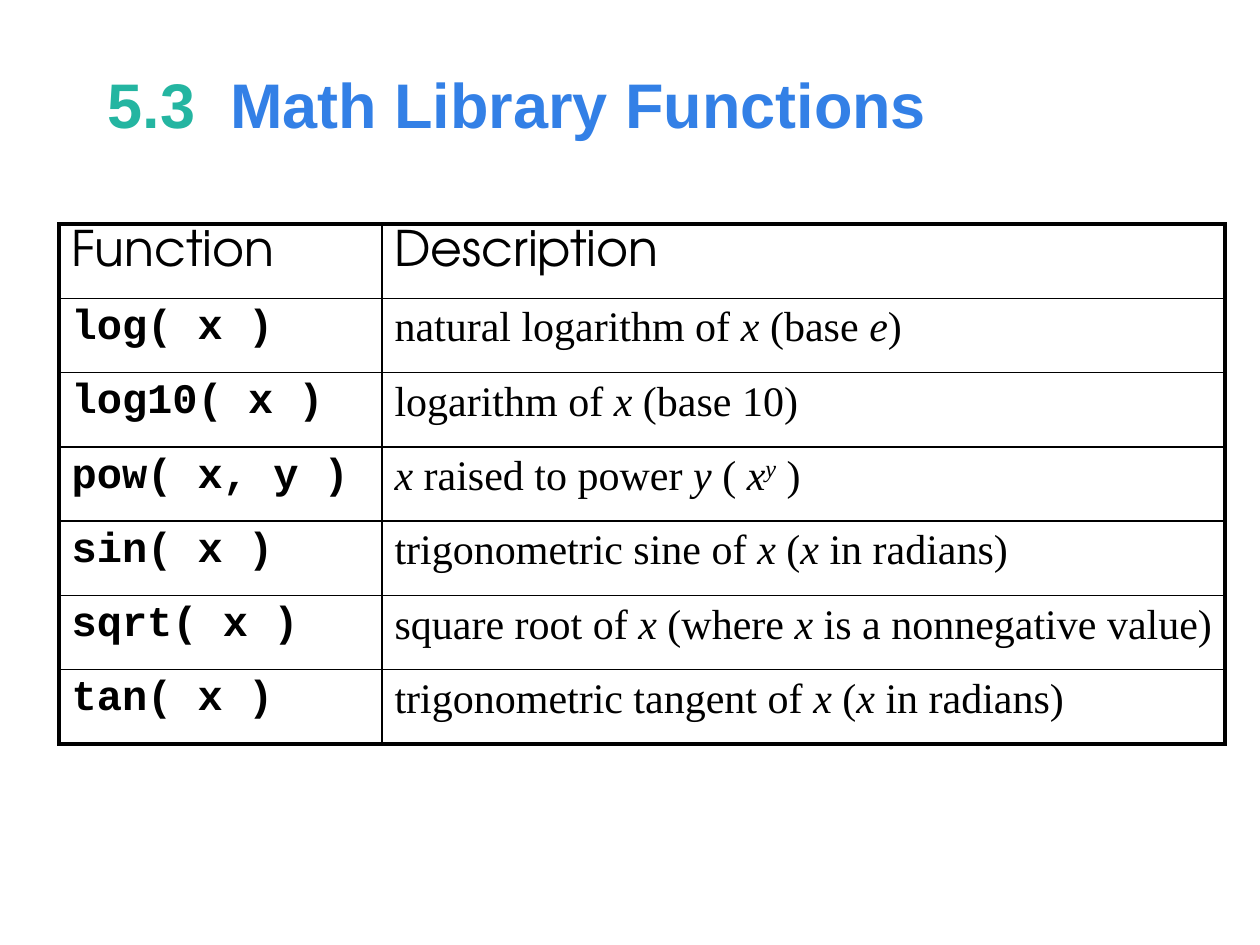
from lxml import etree
from pptx import Presentation
from pptx.dml.color import RGBColor
from pptx.enum.text import MSO_ANCHOR, PP_ALIGN
from pptx.oxml.ns import qn
from pptx.util import Emu, Pt

PX = 914400 / 126
LEFT, MIDDLE = PP_ALIGN.LEFT, MSO_ANCHOR.MIDDLE
BLACK = RGBColor(0x00, 0x00, 0x00)
TEAL = RGBColor(0x24, 0xB5, 0xA1)
BLUE = RGBColor(0x33, 0x80, 0xE6)
HEAD, CODE, BODY = "TeX Gyre Adventor", "Courier New", "Times New Roman"
THIN, THICK = Pt(1), Pt(2.25)

ROWS = [
    ("Function", "Description"),
    ("log( x )", "natural logarithm of *x* (base *e*)"),
    ("log10( x )", "logarithm of *x* (base 10)"),
    ("pow( x, y )", "*x* raised to power *y* ( *x^y* )"),
    ("sin( x )", "trigonometric sine of *x* (*x* in radians)"),
    ("sqrt( x )", "square root of *x* (where *x* is a nonnegative value)"),
    ("tan( x )", "trigonometric tangent of *x* (*x* in radians)"),
]


def px(n):
    return Emu(round(n * PX))


class Deck:
    def __init__(self):
        self.file = Presentation()
        self.file.slide_width, self.file.slide_height = px(1260), px(945)
        self.slide = self.file.slides.add_slide(self.file.slide_layouts[5])

    def font(self, para, name, size, bold=False, color=None):
        para.font.name, para.font.size, para.font.bold = name, Pt(size), bold
        if color is not None:
            para.font.color.rgb = color

    def title(self, parts, x, y, w, h):
        box = self.slide.shapes.title
        box.left, box.top, box.width, box.height = map(px, (x, y, w, h))
        box.text_frame.vertical_anchor = MIDDLE
        para = box.text_frame.paragraphs[0]
        para.alignment = LEFT
        self.font(para, "Arial", 36, True)
        for text, color in parts:
            run = para.add_run()
            run.text = text
            run.font.color.rgb = color

    def rich(self, para, text):
        """Add runs to para: *...* is italic, and what follows ^ in it is raised."""
        for i, part in enumerate(text.split("*")):
            for j, bit in enumerate(part.split("^")):
                if not bit:
                    continue
                run = para.add_run()
                run.text = bit
                if i % 2:
                    run.font.italic = True
                if j:
                    run.font._element.set("baseline", "30000")

    def edges(self, cell, widths):
        """Draw cell borders; widths run left, right, top, bottom."""
        props = cell._tc.get_or_add_tcPr()
        for side, width in zip("LRTB", widths):
            line = etree.SubElement(props, qn(f"a:ln{side}"), w=str(width))
            fill = etree.SubElement(line, qn("a:solidFill"))
            etree.SubElement(fill, qn("a:srgbClr"), val=str(BLACK))

    def table(self, rows, x, y, widths, h):
        last, end = len(rows) - 1, len(widths) - 1
        grid = self.slide.shapes.add_table(
            len(rows), len(widths), px(x), px(y), px(sum(widths)), px(h)).table
        grid.first_row = grid.horz_banding = False
        for col, width in zip(grid.columns, widths):
            col.width = px(width)
        for r, row in enumerate(rows):
            grid.rows[r].height = px(h / len(rows))
            for c, text in enumerate(row):
                cell = grid.cell(r, c)
                outer = (c == 0, c == end, r == 0, r == last)
                self.edges(cell, [THICK if o else THIN for o in outer])
                cell.fill.background()
                para = cell.text_frame.paragraphs[0]
                if r == 0:
                    self.font(para, HEAD, 28, color=BLACK)
                else:
                    self.font(para, BODY if c else CODE, 24, c == 0, BLACK)
                self.rich(para, text)


def main():
    deck = Deck()
    deck.title([("5.3  ", TEAL), ("Math Library Functions", BLUE)],
               95, 35, 1071, 136)
    deck.table(ROWS, 59, 224, (323, 843), 520)
    deck.file.save("out.pptx")


if __name__ == "__main__":
    main()
